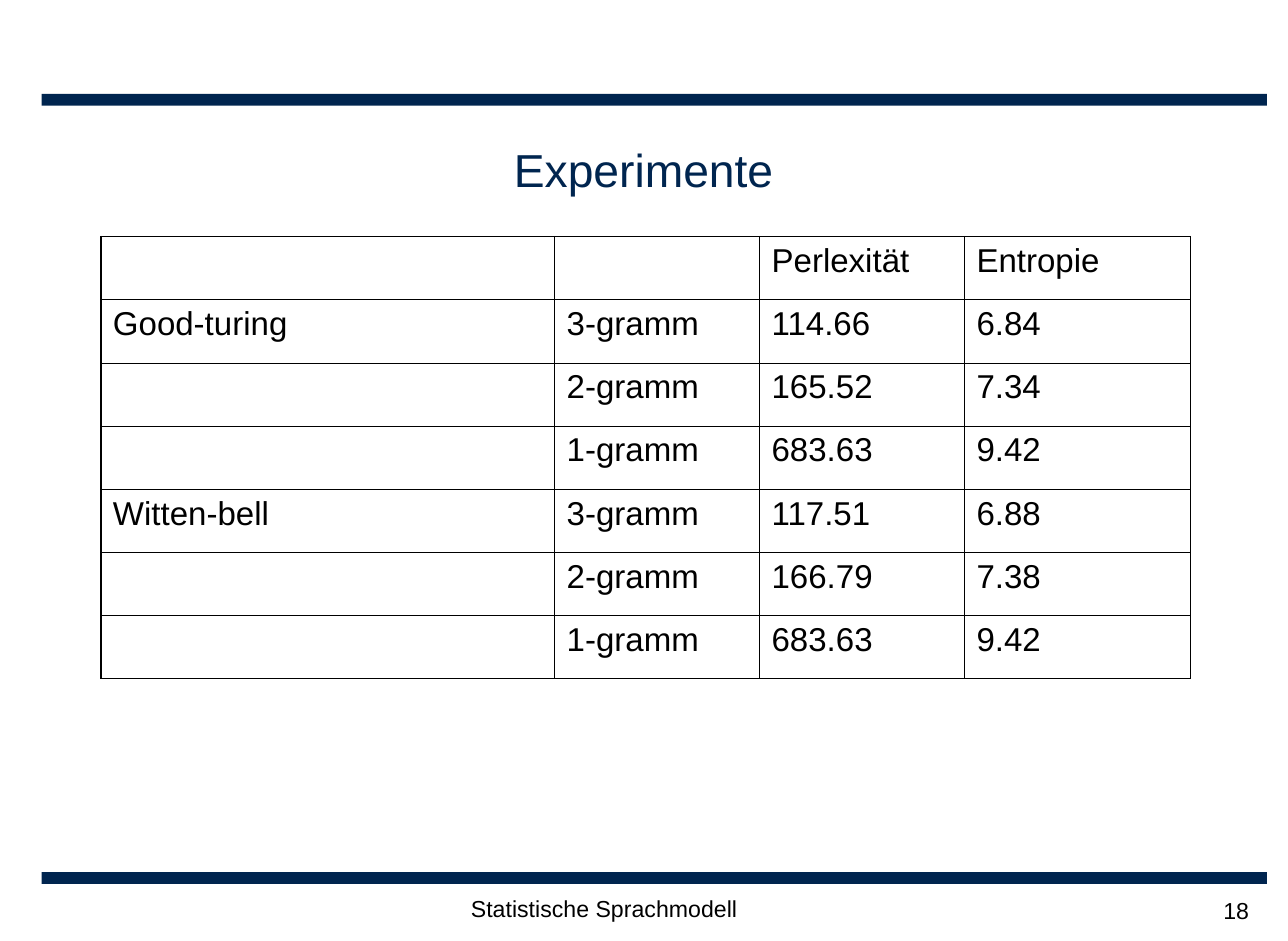
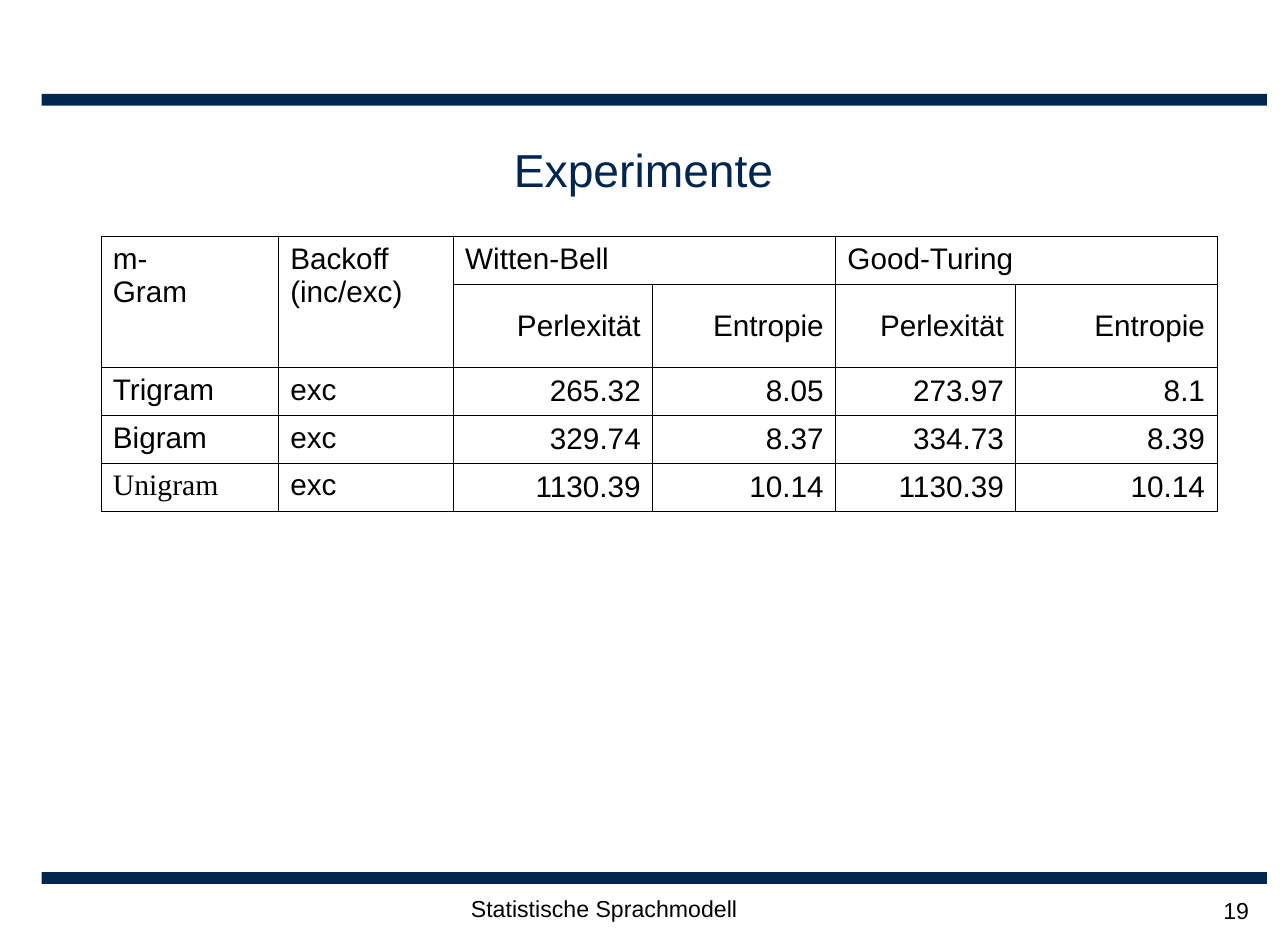
from lxml.etree import SubElement
from pptx import Presentation
from pptx.dml.color import RGBColor
from pptx.enum.shapes import MSO_SHAPE
from pptx.enum.text import MSO_ANCHOR, PP_ALIGN
from pptx.oxml.ns import qn
from pptx.util import Cm, Pt

COLORS = {"navy": "00254F", "black": "000000"}
SANS, SERIF = "Arial", "Times New Roman"
THIN, THICK = 0.45, 1.08
LEFT, TOP = 2.16, 5.06

GRAMS = [
    ["", "", "Perlexität", "Entropie"],
    ["Good-turing", "3-gramm", "114.66", "6.84"],
    ["", "2-gramm", "165.52", "7.34"],
    ["", "1-gramm", "683.63", "9.42"],
    ["Witten-bell", "3-gramm", "117.51", "6.88"],
    ["", "2-gramm", "166.79", "7.38"],
    ["", "1-gramm", "683.63", "9.42"],
]
BACKOFF = [
    ["m-\nGram", "Backoff\n(inc/exc)", "Witten-Bell", "", "Good-Turing", ""],
    ["", "", "Perlexität", "Entropie", "Perlexität", "Entropie"],
    ["Trigram", "exc", "265.32", "8.05", "273.97", "8.1"],
    ["Bigram", "exc", "329.74", "8.37", "334.73", "8.39"],
    ["Unigram", "exc", "1130.39", "10.14", "1130.39", "10.14"],
]


def color(name):
    return RGBColor.from_string(COLORS[name])


def write(frame, text, size, tint="black", align=PP_ALIGN.LEFT, face=SANS):
    """Fill a text frame, one paragraph per line of text."""
    for i, line in enumerate(text.split("\n")):
        para = frame.add_paragraph() if i else frame.paragraphs[0]
        para.alignment = align
        run = para.add_run()
        run.text = line
        run.font.size = Pt(size)
        run.font.name = face
        run.font.color.rgb = color(tint)


def label(slide, box, text, size, align, anchor=MSO_ANCHOR.MIDDLE, tint="black"):
    frame = slide.shapes.add_textbox(*map(Cm, box)).text_frame
    frame.word_wrap = True
    frame.vertical_anchor = anchor
    write(frame, text, size, tint, align)


def band(slide, top):
    bar = slide.shapes.add_shape(
        MSO_SHAPE.RECTANGLE, Cm(0.89), Cm(top), Cm(26.19), Cm(0.25))
    bar.shadow.inherit = False
    bar.fill.solid()
    bar.fill.fore_color.rgb = color("navy")
    bar.line.fill.background()


def page(deck, title, number):
    """Add a slide with its bands, title and footer."""
    slide = deck.slides.add_slide(deck.slide_layouts[6])
    for top in (2.01, 18.65):
        band(slide, top)
    label(slide, (2.11, 2.34, 23.29, 2.54), title, 28, PP_ALIGN.CENTER,
          tint="navy")
    label(slide, (8.89, 19, 8.05, 1.1), "Statistische Sprachmodell", 14,
          PP_ALIGN.CENTER, MSO_ANCHOR.TOP)
    label(slide, (20.75, 19, 6.2, 0.94), str(number), 14, PP_ALIGN.RIGHT)
    return slide


def border(cell, sides):
    """Draw the cell's edges; sides maps L, R, T, B to a width in points."""
    props = cell._tc.get_or_add_tcPr()
    for side, width in sides.items():
        line = SubElement(props, qn(f"a:ln{side}"), w=str(Pt(width)))
        fill = SubElement(line, qn("a:solidFill"))
        SubElement(fill, qn("a:srgbClr"), val=COLORS["black"])


def grid(slide, data, widths, heights, edge=THIN):
    """Add a ruled, unfilled table whose outer edge has its own width."""
    rows, cols = len(data), len(widths)
    table = slide.shapes.add_table(
        rows, cols, Cm(LEFT), Cm(TOP),
        Cm(sum(widths)), Cm(sum(heights))).table
    table.first_row = table.horz_banding = False
    for col, width in zip(table.columns, widths):
        col.width = Cm(width)
    for row, height in zip(table.rows, heights):
        row.height = Cm(height)
    for r in range(rows):
        for c in range(cols):
            cell = table.cell(r, c)
            outer = {"L": c == 0, "R": c == cols - 1,
                     "T": r == 0, "B": r == rows - 1}
            border(cell, {s: edge if out else THIN
                          for s, out in outer.items()})
            cell.fill.background()
    return table


def grams(slide):
    table = grid(slide, GRAMS, [9.7, 4.38, 4.38, 4.83],
                 [1.35] * len(GRAMS), THICK)
    for r, row in enumerate(GRAMS):
        for c, text in enumerate(row):
            if text:
                write(table.cell(r, c).text_frame, text, 20)


def backoff(slide):
    table = grid(slide, BACKOFF, [3.79, 3.74, 4.26, 3.91, 3.85, 4.3],
                 [1.02, 1.77, 1.02, 1.02, 1.04])
    for c in (0, 1):
        table.cell(0, c).merge(table.cell(1, c))
    for c in (2, 4):
        table.cell(0, c).merge(table.cell(0, c + 1))
    for r, row in enumerate(BACKOFF):
        for c, text in enumerate(row):
            if not text:
                continue
            cell = table.cell(r, c)
            value = r > 0 and c > 1
            if value:
                cell.vertical_anchor = MSO_ANCHOR.MIDDLE
            write(cell.text_frame, text, 18,
                  align=PP_ALIGN.RIGHT if value else PP_ALIGN.LEFT,
                  face=SERIF if text == "Unigram" else SANS)


def main():
    deck = Presentation()
    deck.slide_width, deck.slide_height = Cm(27.53), Cm(20.12)
    for number, fill in enumerate((grams, backoff), 18):
        fill(page(deck, "Experimente", number))
    deck.save("out.pptx")


if __name__ == "__main__":
    main()
